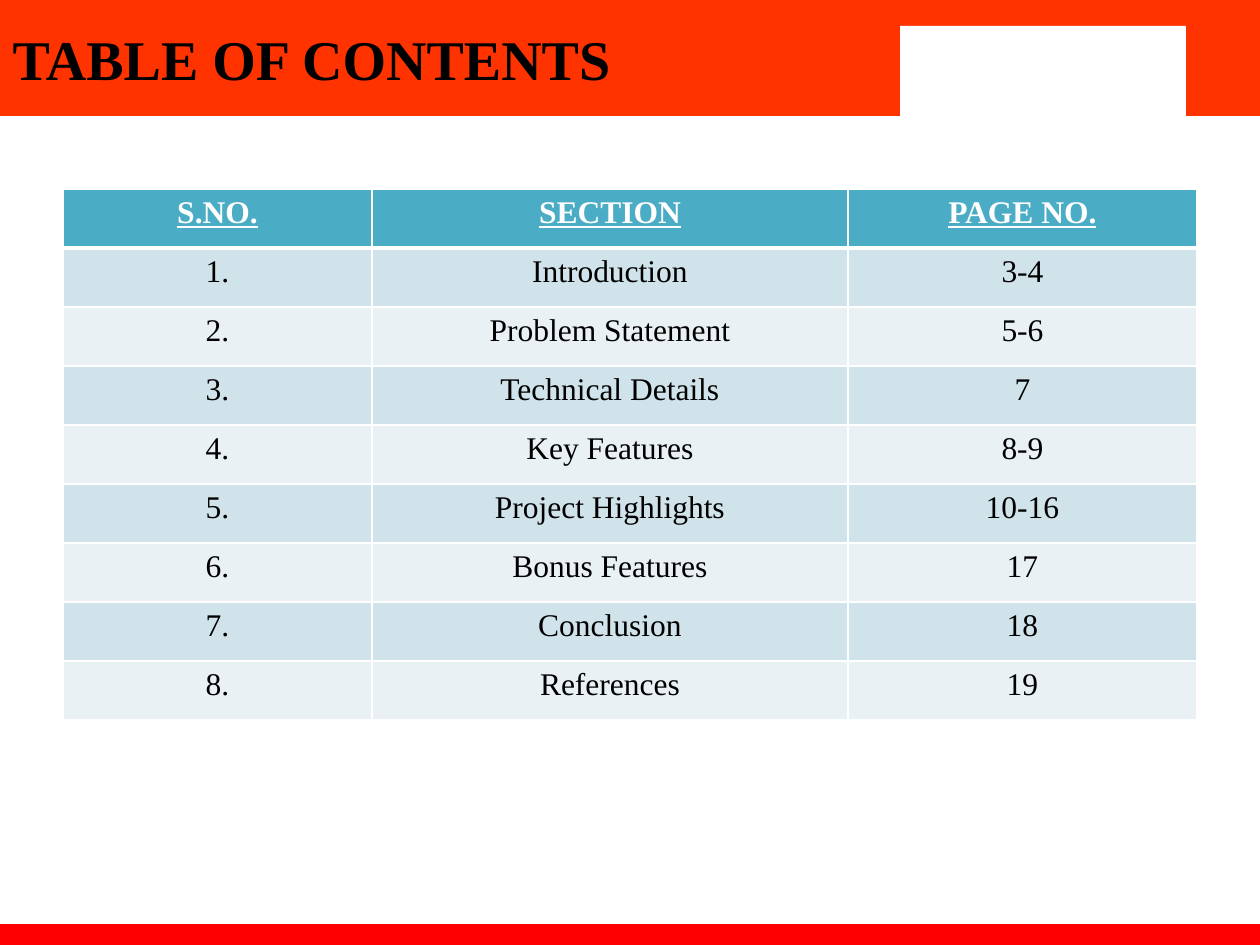
"""Build a table of contents slide with a red header band and a footer bar."""
from lxml.etree import SubElement
from pptx import Presentation
from pptx.dml.color import RGBColor
from pptx.enum.shapes import MSO_SHAPE as Shape
from pptx.enum.text import MSO_ANCHOR as Anchor, MSO_AUTO_SIZE as AutoSize, PP_ALIGN as Align
from pptx.oxml.ns import qn
from pptx.util import Emu, Pt


def px(length):
    return Emu(round(length * 914400 / 126))


def paint(fill, color):
    fill.solid()
    fill.fore_color.rgb = RGBColor.from_string(color)


deck = Presentation()
deck.slide_width, deck.slide_height = px(1260), px(945)
slide = deck.slides.add_slide(deck.slide_layouts[5])

bands = [
    (0, 0, 1260, 116, "FF3300"),
    (0, 924, 1260, 21, "FF0000"),
    (847, 0, 413, 116, "FF3300"),
    (900, 26, 286, 95, "FFFFFF"),
]
for left, top, width, height, color in bands:
    band = slide.shapes.add_shape(Shape.RECTANGLE, px(left), px(top), px(width), px(height))
    band.shadow.inherit = False
    band.line.fill.background()
    paint(band.fill, color)

heading = slide.shapes.title
slide.shapes._spTree.append(heading._element)
heading.left, heading.top, heading.width, heading.height = px(0), px(0), px(892), px(116)
heading_frame = heading.text_frame
heading_frame.text = "TABLE OF CONTENTS"
heading_frame.auto_size = AutoSize.NONE
heading_frame.vertical_anchor = Anchor.MIDDLE
heading_line = heading_frame.paragraphs[0]
heading_line.alignment = Align.LEFT
for name, value in {"name": "Times New Roman", "size": Pt(32), "bold": True}.items():
    setattr(heading_line.font, name, value)
paint(heading_line.font.fill, "000000")

sections = [
    ("Introduction", "3-4"),
    ("Problem Statement", "5-6"),
    ("Technical Details", "7"),
    ("Key Features", "8-9"),
    ("Project Highlights", "10-16"),
    ("Bonus Features", "17"),
    ("Conclusion", "18"),
    ("References", "19"),
]
entries = [("S.NO.", "SECTION", "PAGE NO.")]
entries += [(f"{number}.", *section) for number, section in enumerate(sections, 1)]
column_widths = [309, 476, 349]
row_height = 59

contents = slide.shapes.add_table(
    len(entries), len(column_widths), px(63), px(189),
    px(sum(column_widths)), px(row_height * len(entries))).table
for column, width in zip(contents.columns, column_widths):
    column.width = px(width)

for row, entry in enumerate(entries):
    contents.rows[row].height = px(row_height)
    is_header = row == 0
    row_fill = "4BACC6" if is_header else ("E9F1F5", "D0E3EA")[row % 2]
    entry_format = {"name": "Times New Roman", "size": Pt(18),
                    "bold": is_header, "underline": is_header}
    edges = {"a:lnL": 1, "a:lnR": 1, "a:lnT": 3 if row == 1 else 1, "a:lnB": 3 if is_header else 1}
    for column, wording in enumerate(entry):
        cell = contents.cell(row, column)
        cell.text = wording
        cell_line = cell.text_frame.paragraphs[0]
        cell_line.alignment = Align.CENTER
        for name, value in entry_format.items():
            setattr(cell_line.font, name, value)
        paint(cell_line.font.fill, "FFFFFF" if is_header else "000000")
        properties = cell._tc.get_or_add_tcPr()
        for edge, weight in edges.items():
            border = SubElement(properties, qn(edge), w=str(Pt(weight)))
            SubElement(SubElement(border, qn("a:solidFill")), qn("a:srgbClr"), val="FFFFFF")
        paint(cell.fill, row_fill)

deck.save("out.pptx")
